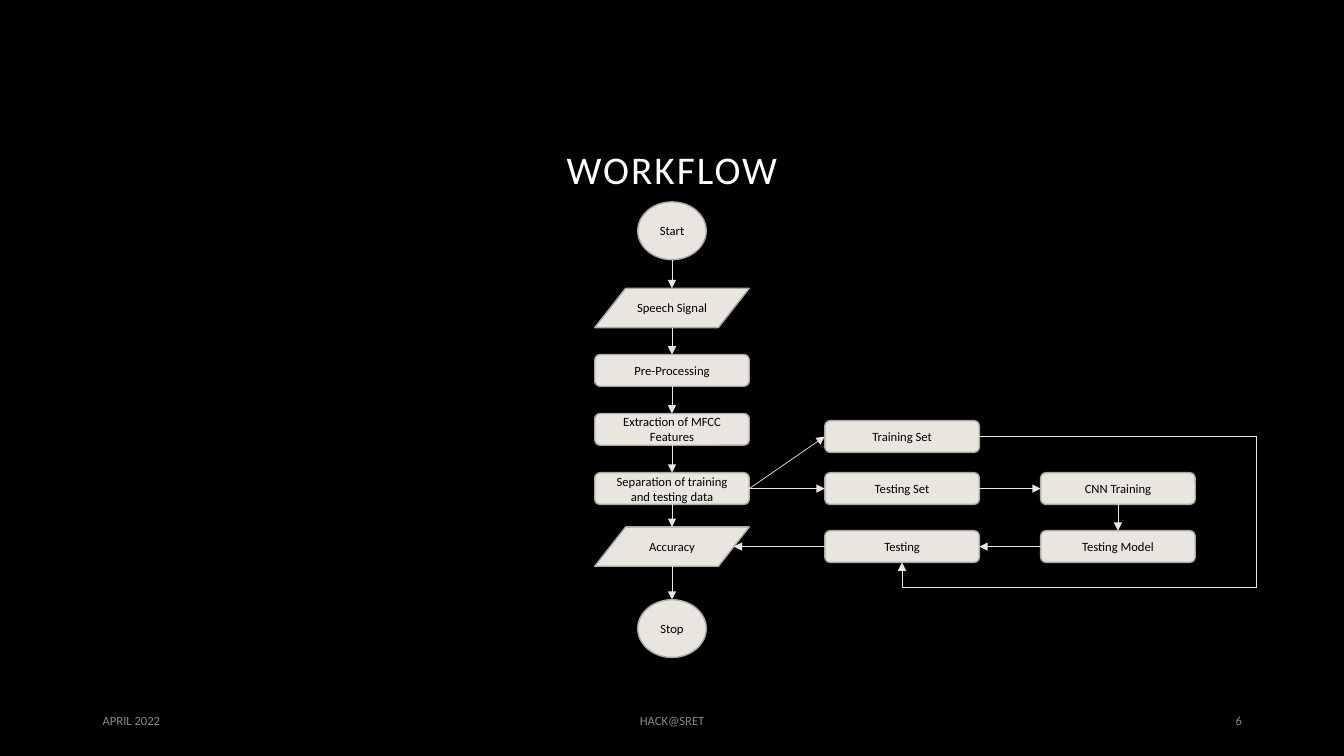
from dataclasses import dataclass

from lxml import etree
from pptx import Presentation
from pptx.dml.color import RGBColor
from pptx.enum.shapes import MSO_CONNECTOR, MSO_SHAPE
from pptx.enum.text import MSO_ANCHOR, MSO_AUTO_SIZE, PP_ALIGN
from pptx.oxml.ns import qn
from pptx.shapes.autoshape import Shape
from pptx.shapes.connector import Connector
from pptx.slide import Slide
from pptx.text.text import TextFrame
from pptx.util import Pt

OVAL = MSO_SHAPE.OVAL
BOX = MSO_SHAPE.ROUNDED_RECTANGLE
DATA = MSO_SHAPE.FLOWCHART_DATA
STRAIGHT, ELBOW = MSO_CONNECTOR.STRAIGHT, MSO_CONNECTOR.ELBOW
LEFT, CENTER, RIGHT = PP_ALIGN.LEFT, PP_ALIGN.CENTER, PP_ALIGN.RIGHT
MIDDLE = MSO_ANCHOR.MIDDLE
NO_FIT = MSO_AUTO_SIZE.NONE
TOP, WEST, BASE, EAST = range(4)

WIDTH, HEIGHT = Pt(960), Pt(540)
COLS = (50, 67.12, 83.18)
ROWS = {"start": 30.53, "signal": 40.73, "prep": 49, "mfcc": 56.8,
        "train": 57.75, "split": 64.63, "test": 72.3, "stop": 83.15}
SIZES = {OVAL: (5.1, 7.65), BOX: (11.5, 4.2), DATA: (11.5, 5.2)}


@dataclass(frozen=True)
class Theme:
    font: str = "Calibri"
    back: RGBColor = RGBColor(0, 0, 0)
    title: RGBColor = RGBColor(0xFF, 0xFF, 0xFF)
    muted: RGBColor = RGBColor(0x89, 0x89, 0x89)
    fill: RGBColor = RGBColor(0xE9, 0xE6, 0xDF)
    edge: RGBColor = RGBColor(0xAC, 0xAA, 0xA5)
    ink: RGBColor = RGBColor(0, 0, 0)
    large: int = 28
    small: int = 9


@dataclass(frozen=True)
class Node:
    key: str
    text: str
    kind: MSO_SHAPE
    col: int
    row: str


@dataclass(frozen=True)
class Link:
    start: str
    out: int
    end: str
    into: int


@dataclass(frozen=True)
class Foot:
    text: str
    left: float
    width: float
    align: PP_ALIGN


THEME = Theme()
NODES = (
    Node("start", "Start", OVAL, 0, "start"),
    Node("signal", "Speech Signal", DATA, 0, "signal"),
    Node("prep", "Pre-Processing", BOX, 0, "prep"),
    Node("mfcc", "Extraction of MFCC Features", BOX, 0, "mfcc"),
    Node("split", "Separation of training and testing data", BOX, 0, "split"),
    Node("score", "Accuracy", DATA, 0, "test"),
    Node("stop", "Stop", OVAL, 0, "stop"),
    Node("train", "Training Set", BOX, 1, "train"),
    Node("set", "Testing Set", BOX, 1, "split"),
    Node("test", "Testing", BOX, 1, "test"),
    Node("cnn", "CNN Training", BOX, 2, "split"),
    Node("model", "Testing Model", BOX, 2, "test"),
)
SPINE = [node.key for node in NODES if node.col == 0]
LINKS = (
    *(Link(a, BASE, b, TOP) for a, b in zip(SPINE, SPINE[1:])),
    Link("split", EAST, "train", WEST),
    Link("split", EAST, "set", WEST),
    Link("set", EAST, "cnn", WEST),
    Link("cnn", BASE, "model", TOP),
    Link("model", WEST, "test", EAST),
    Link("test", WEST, "score", EAST),
    Link("train", EAST, "test", BASE),
)
FEET = (
    Foot("APRIL 2022", 6.9, 22.5, LEFT),
    Foot("HACK@SRET", 33.13, 33.75, CENTER),
    Foot("6", 70.65, 22.5, RIGHT),
)


def across(share: float) -> int:
    return round(WIDTH * share / 100)


def down(share: float) -> int:
    return round(HEIGHT * share / 100)


def area(left: float, top: float, width: float, height: float) -> tuple[int, ...]:
    return across(left), down(top), across(width), down(height)


def write(frame: TextFrame, text: str, size: int, color: RGBColor,
          align: PP_ALIGN) -> None:
    frame.word_wrap = True
    frame.auto_size = NO_FIT
    frame.vertical_anchor = MIDDLE
    line = frame.paragraphs[0]
    line.alignment = align
    run = line.add_run()
    run.text = text
    run.font.name = THEME.font
    run.font.size = Pt(size)
    run.font.color.rgb = color


def head(slide: Slide, text: str) -> None:
    title = slide.shapes.title
    title.left, title.top, title.width, title.height = area(15.45, 13.07, 69.1, 19.33)
    write(title.text_frame, text, THEME.large, THEME.title, CENTER)
    line = title.text_frame.paragraphs[0]
    line.line_spacing = 0.9
    line.runs[0].font._element.set("spc", "150")


def draw(slide: Slide, node: Node) -> Shape:
    width, height = SIZES[node.kind]
    left, top = COLS[node.col] - width / 2, ROWS[node.row] - height / 2
    shape = slide.shapes.add_shape(node.kind, *area(left, top, width, height))
    shape.shadow.inherit = False
    shape.fill.solid()
    shape.fill.fore_color.rgb = THEME.fill
    shape.line.color.rgb = THEME.edge
    shape.line.width = Pt(1)
    write(shape.text_frame, node.text, THEME.small, THEME.ink, CENTER)
    return shape


def port(shape: Shape, side: int) -> tuple[int, int]:
    reach = 0.4 if shape.auto_shape_type == DATA else 0.5
    step, rise = ((0, -0.5), (-reach, 0), (0, 0.5), (reach, 0))[side]
    return (round(shape.left + shape.width * (0.5 + step)),
            round(shape.top + shape.height * (0.5 + rise)))


def detour(wire: Connector) -> None:
    form = wire._element.spPr.find(qn("a:prstGeom"))
    form.set("prst", "bentConnector4")
    for old in list(form):
        form.remove(old)
    guides = etree.SubElement(form, qn("a:avLst"))
    for name, value in (("adj1", -358300), ("adj2", 120000)):
        etree.SubElement(guides, qn("a:gd"), name=name, fmla=f"val {value}")


def join(slide: Slide, link: Link, shapes: dict[str, Shape]) -> None:
    start, end = shapes[link.start], shapes[link.end]
    bent = link.out == EAST and link.into == BASE
    wire = slide.shapes.add_connector(
        ELBOW if bent else STRAIGHT, *port(start, link.out), *port(end, link.into))
    if start.auto_shape_type == BOX:
        wire.begin_connect(start, link.out)
    if end.auto_shape_type == BOX:
        wire.end_connect(end, link.into)
    if bent:
        detour(wire)
    wire.line.color.rgb = THEME.fill
    wire.line.width = Pt(0.5)
    props = wire._element.spPr
    etree.SubElement(props.find(qn("a:ln")), qn("a:tailEnd"), type="triangle")
    etree.SubElement(props, qn("a:effectLst"))


def main() -> None:
    deck = Presentation()
    deck.slide_width, deck.slide_height = WIDTH, HEIGHT
    slide = deck.slides.add_slide(deck.slide_layouts[5])
    slide.background.fill.solid()
    slide.background.fill.fore_color.rgb = THEME.back
    head(slide, "WORKFLOW")
    for foot in FEET:
        box = slide.shapes.add_textbox(*area(foot.left, 92.67, foot.width, 5.33))
        write(box.text_frame, foot.text, THEME.small, THEME.muted, foot.align)
    shapes = {node.key: draw(slide, node) for node in NODES}
    for link in LINKS:
        join(slide, link, shapes)
    deck.save("out.pptx")


if __name__ == "__main__":
    main()
